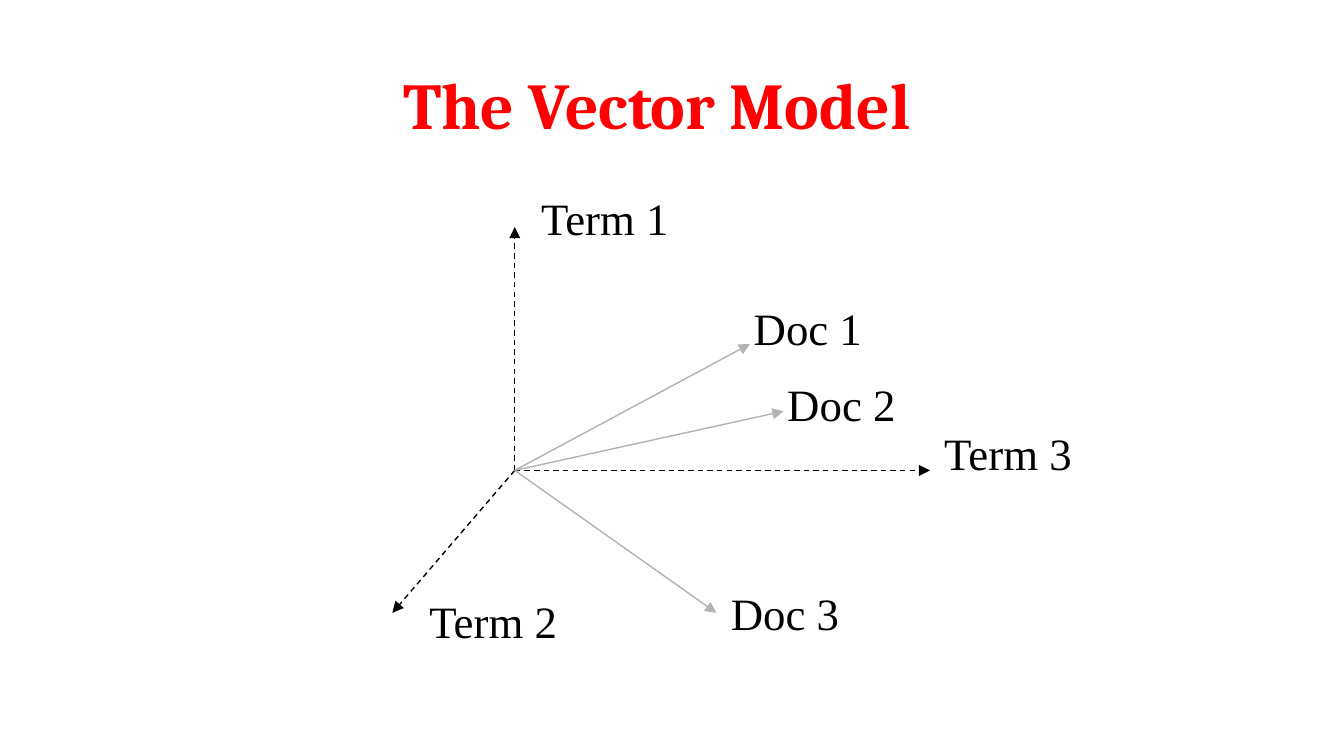
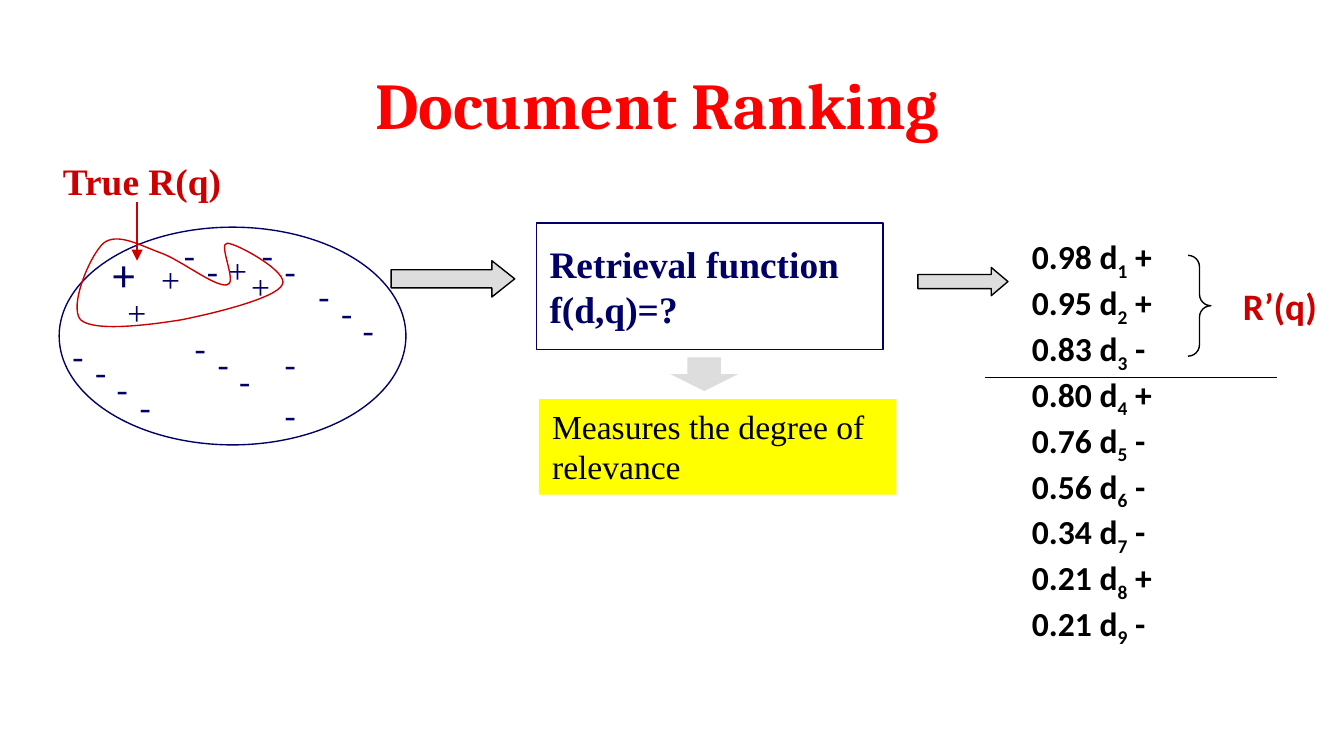
from dataclasses import dataclass
from typing import NamedTuple, Optional

from lxml.etree import SubElement
from pptx import Presentation
from pptx.dml.color import RGBColor
from pptx.enum.dml import MSO_LINE
from pptx.enum.shapes import MSO_CONNECTOR, MSO_SHAPE
from pptx.enum.text import MSO_ANCHOR, MSO_AUTO_SIZE, PP_ALIGN
from pptx.oxml.ns import qn
from pptx.util import Emu, Pt

EMU_PER_PX = 9144  # 100 px to the inch
SLIDE_WIDTH = 1000


@dataclass(frozen=True)
class Theme:
    red: str = "FF0000"
    crimson: str = "CC0000"
    navy: str = "000066"
    black: str = "000000"
    gray: str = "B2B2B2"
    silver: str = "DDDDDD"
    yellow: str = "FFFF00"
    heading: str = "Cambria"
    sans: str = "Calibri"
    serif: str = "Times New Roman"
    title_size: int = 35
    label_size: int = 24
    callout_size: int = 20
    body_size: int = 18
    line_width: float = 0.75


THEME = Theme()


class Box(NamedTuple):
    left: int
    top: int
    width: int
    height: int


class Point(NamedTuple):
    x: int
    y: int


@dataclass(frozen=True)
class Style:
    font: str
    size: int
    color: str
    bold: bool = False


class Ray(NamedTuple):
    tip: Point
    label: str
    label_box: Box


class Chain(NamedTuple):
    """Marks that step down to the right from a first place."""
    mark: str
    left: int
    top: int
    count: int


class Ranked(NamedTuple):
    score: str
    relevant: bool


TITLE = Style(THEME.heading, THEME.title_size, THEME.red, True)
LABEL = Style(THEME.serif, THEME.label_size, THEME.black)
MARK = Style(THEME.serif, THEME.body_size, THEME.navy)
BIG_MARK = Style(THEME.sans, THEME.label_size, THEME.navy)
RANKING = Style(THEME.sans, THEME.body_size, THEME.black, True)
FUNCTION = Style(THEME.serif, THEME.callout_size, THEME.navy, True)
MEASURE = Style(THEME.serif, THEME.body_size, THEME.black)
TRUE_SET = Style(THEME.serif, THEME.callout_size, THEME.crimson, True)
FOUND_SET = Style(THEME.sans, THEME.callout_size, THEME.crimson, True)

# Vector model
ORIGIN = Point(383, 350)
TERMS = [
    Ray(Point(383, 169), "Term 1", Box(392, 137, 116, 50)),
    Ray(Point(292, 456), "Term 2", Box(309, 437, 116, 50)),
    Ray(Point(692, 350), "Term 3", Box(692, 312, 116, 50)),
]
DOCS = [
    Ray(Point(558, 256), "Doc 1", Box(550, 219, 102, 50)),
    Ray(Point(583, 306), "Doc 2", Box(575, 275, 102, 50)),
    Ray(Point(533, 456), "Doc 3", Box(533, 431, 102, 50)),
]

# Document ranking
MARK_WIDTHS = {"+": 34, "-": 29}
CHAINS = [
    Chain("+", 85, 212, 1),
    Chain("+", 110, 188, 1),
    Chain("+", 160, 181, 2),
    Chain("-", 227, 200, 3),
    Chain("-", 44, 244, 4),
    Chain("-", 135, 238, 3),
    Chain("-", 202, 250, 1),
    Chain("-", 202, 288, 1),
    Chain("-", 127, 169, 2),
    Chain("-", 185, 169, 2),
]
RANKS = [
    Ranked("0.98", True), Ranked("0.95", True), Ranked("0.83", False),
    Ranked("0.80", True), Ranked("0.76", False), Ranked("0.56", False),
    Ranked("0.34", False), Ranked("0.21", True), Ranked("0.21", False),
]
CUT_OFF_TOP = 281  # between the third and fourth ranks
# Start point, then two control points and an end point per curve
TRUE_SET_OUTLINE = [
    Point(77, 181),
    Point(87, 173), Point(103, 182), Point(119, 188),
    Point(134, 193), Point(160, 214), Point(169, 212),
    Point(177, 211), Point(162, 181), Point(169, 181),
    Point(176, 181), Point(216, 203), Point(210, 212),
    Point(205, 222), Point(160, 233), Point(135, 238),
    Point(110, 242), Point(70, 247), Point(60, 238),
    Point(51, 228), Point(67, 190), Point(77, 181),
]


def px(length: int) -> Emu:
    return Emu(length * EMU_PER_PX)


def emu(box: Box) -> list[Emu]:
    return [px(length) for length in box]


def add_span(para, text: str, style: Style, subscript: bool = False) -> None:
    span = para.add_run()
    span.text = text
    font = span.font
    font.name, font.size, font.bold = style.font, Pt(style.size), style.bold
    font.color.rgb = RGBColor.from_string(style.color)
    if subscript:
        span._r.get_or_add_rPr().set("baseline", "-25000")


def write(frame, lines: list[str], style: Style, align=PP_ALIGN.LEFT) -> None:
    for index, line in enumerate(lines):
        para = frame.add_paragraph() if index else frame.paragraphs[0]
        para.alignment = align
        add_span(para, line, style)


def add_text_frame(page, box: Box):
    frame = page.shapes.add_textbox(*emu(box)).text_frame
    frame.word_wrap = False
    frame.auto_size = MSO_AUTO_SIZE.SHAPE_TO_FIT_TEXT
    return frame


def add_text(page, box: Box, text: str, style: Style) -> None:
    write(add_text_frame(page, box), [text], style)


def paint(shape, fill: Optional[str], line: Optional[str]) -> None:
    shape.shadow.inherit = False
    if fill:
        shape.fill.solid()
        shape.fill.fore_color.rgb = RGBColor.from_string(fill)
    else:
        shape.fill.background()
    if line:
        shape.line.color.rgb = RGBColor.from_string(line)
        shape.line.width = Pt(THEME.line_width)
    else:
        shape.line.fill.background()


def add_figure(page, kind: MSO_SHAPE, box: Box, fill: Optional[str] = None,
               line: Optional[str] = None, adjustments: tuple = ()):
    shape = page.shapes.add_shape(kind, *emu(box))
    for index, value in enumerate(adjustments):
        shape.adjustments[index] = value
    paint(shape, fill, line)
    return shape


def add_line(page, start: Point, end: Point, color: str,
             arrow: bool = False, dashed: bool = False) -> None:
    line = page.shapes.add_connector(
        MSO_CONNECTOR.STRAIGHT, *[px(length) for length in start + end])
    line.line.color.rgb = RGBColor.from_string(color)
    line.line.width = Pt(THEME.line_width)
    if dashed:
        line.line.dash_style = MSO_LINE.DASH
    if arrow:
        SubElement(line.line._get_or_add_ln(), qn("a:tailEnd"), type="triangle")
    SubElement(line._element.spPr, qn("a:effectLst"))


def add_closed_curve(page, points: list[Point], color: str) -> None:
    builder = page.shapes.build_freeform(*points[0], scale=EMU_PER_PX)
    builder.add_line_segments(points[1:], close=True)
    shape = builder.convert_to_shape()
    paint(shape, None, color)
    # Turn every three straight segments into one Bézier curve
    segments = list(shape._element.iter(qn("a:lnTo")))
    for first in range(0, len(segments), 3):
        curve = SubElement(segments[first].getparent(), qn("a:cubicBezTo"))
        segments[first].addprevious(curve)
        for segment in segments[first:first + 3]:
            curve.append(segment[0])
            segment.getparent().remove(segment)


def add_page(deck, title: str):
    page = deck.slides.add_slide(deck.slide_layouts[5])
    holder = page.shapes.title
    holder.left, holder.top, holder.width, holder.height = emu(Box(28, 43, 922, 77))
    frame = holder.text_frame
    frame.auto_size = MSO_AUTO_SIZE.NONE
    frame.vertical_anchor = MSO_ANCHOR.MIDDLE
    frame.margin_bottom = px(14)
    write(frame, [title], TITLE, PP_ALIGN.CENTER)
    return page


def add_ray(page, ray: Ray, color: str, dashed: bool) -> None:
    add_line(page, ORIGIN, ray.tip, color, arrow=True, dashed=dashed)
    frame = add_text_frame(page, ray.label_box)
    frame.vertical_anchor = MSO_ANCHOR.MIDDLE
    write(frame, [ray.label], LABEL, PP_ALIGN.CENTER)


def add_chain(page, chain: Chain) -> None:
    for step in range(chain.count):
        box = Box(chain.left + round(step * 50 / 3), chain.top + round(step * 12.5),
                  MARK_WIDTHS[chain.mark], 40)
        add_text(page, box, chain.mark, MARK)


def add_ranking(page) -> None:
    frame = add_text_frame(page, Box(758, 171, 121, 283))
    for number, rank in enumerate(RANKS, 1):
        para = frame.paragraphs[0] if number == 1 else frame.add_paragraph()
        add_span(para, f"{rank.score} d", RANKING)
        add_span(para, str(number), RANKING, subscript=True)
        add_span(para, " +" if rank.relevant else " -", RANKING)


def build_vector_model(deck) -> None:
    page = add_page(deck, "The Vector Model")
    for term in TERMS:
        add_ray(page, term, THEME.black, dashed=True)
    for doc in DOCS:
        add_ray(page, doc, THEME.gray, dashed=False)


def build_document_ranking(deck) -> None:
    page = add_page(deck, "Document Ranking")

    # Collection of documents
    add_figure(page, MSO_SHAPE.OVAL, Box(44, 169, 258, 162), line=THEME.navy)
    add_text(page, Box(74, 179, 40, 50), "+", BIG_MARK)
    for chain in CHAINS:
        add_chain(page, chain)

    # Ranked list with its cut-off
    add_figure(page, MSO_SHAPE.RIGHT_ARROW, Box(291, 194, 92, 27),
               THEME.silver, THEME.black, (0.5, 0.63))
    add_ranking(page)
    add_line(page, Point(733, CUT_OFF_TOP), Point(950, CUT_OFF_TOP), THEME.black)
    add_figure(page, MSO_SHAPE.RIGHT_ARROW, Box(683, 199, 67, 21),
               THEME.silver, THEME.black, (0.5, 0.59))
    add_figure(page, MSO_SHAPE.RIGHT_BRACE, Box(884, 190, 17, 75),
               line=THEME.black, adjustments=(0.5, 0.5))
    add_text(page, Box(915, 206, 85, 44), "R’(q)", FOUND_SET)

    # Truly relevant documents
    add_closed_curve(page, TRUE_SET_OUTLINE, THEME.crimson)
    add_text(page, Box(37, 113, 139, 44), "True R(q)", TRUE_SET)
    add_line(page, Point(102, 150), Point(102, 194), THEME.crimson, arrow=True)

    # Retrieval function and its meaning
    function = add_figure(page, MSO_SHAPE.RECTANGLE, Box(399, 166, 258, 94),
                          line=THEME.navy).text_frame
    function.word_wrap = False
    function.vertical_anchor = MSO_ANCHOR.MIDDLE
    write(function, ["Retrieval function", "f(d,q)=?"], FUNCTION)
    measure = add_figure(page, MSO_SHAPE.RECTANGLE, Box(401, 297, 266, 71),
                         THEME.yellow).text_frame
    measure.word_wrap = True
    measure.auto_size = MSO_AUTO_SIZE.SHAPE_TO_FIT_TEXT
    measure.vertical_anchor = MSO_ANCHOR.TOP
    write(measure, ["Measures the degree of relevance"], MEASURE)
    add_figure(page, MSO_SHAPE.DOWN_ARROW, Box(499, 266, 50, 25), THEME.silver)


def main() -> None:
    deck = Presentation()
    deck.slide_width = px(SLIDE_WIDTH)
    deck.slide_height = Emu(px(SLIDE_WIDTH) * 9 // 16)
    build_vector_model(deck)
    build_document_ranking(deck)
    deck.save("out.pptx")


if __name__ == "__main__":
    main()
